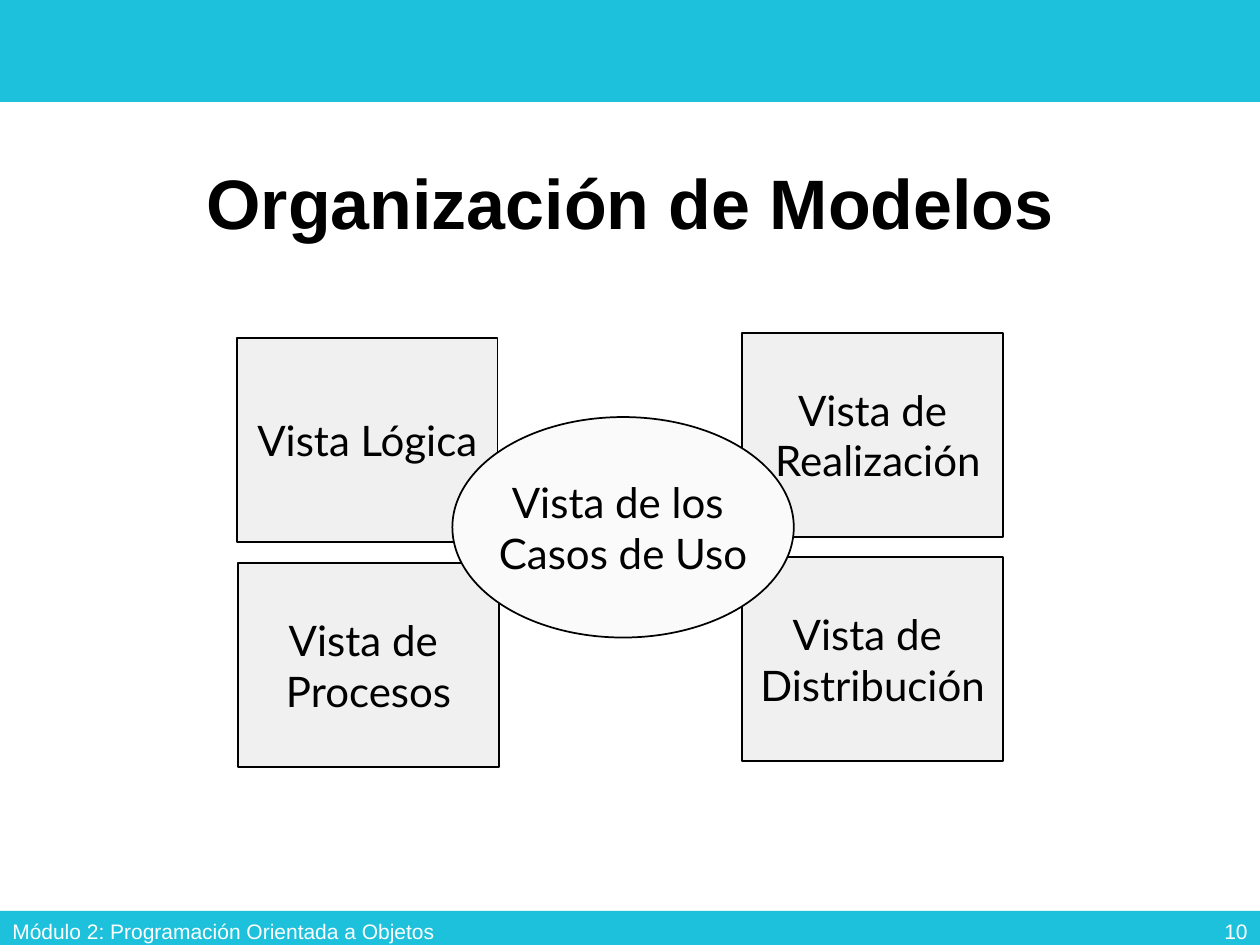
import pptx
import pptx.util
import pptx.dml.color
import pptx.enum.shapes
import pptx.enum.text

Inches = pptx.util.Inches
SHAPE = pptx.enum.shapes.MSO_SHAPE
ALIGN = pptx.enum.text.PP_ALIGN
MIDDLE = pptx.enum.text.MSO_ANCHOR.MIDDLE

WIDTH, HEIGHT = 10, 7.5
CYAN, BLACK, WHITE = "1DC1DC", "000000", "FFFFFF"

TITLE = "Organización de Modelos"
TITLE_FORMAT = {"name": "Arial", "size": 40, "bold": True, "color": BLACK}
FOOTER_FORMAT = {"name": "Arial", "size": 12, "color": WHITE}
VIEW_FORMAT = {"name": "Lato", "size": 24, "color": BLACK}

BARS = [(0, 0.81), (7.23, HEIGHT - 7.23)]  # top, height
FOOTERS = [  # text, left, width, alignment
    ("Módulo 2: Programación Orientada a Objetos", 0, 4.6, ALIGN.LEFT),
    ("10", WIDTH - 2.25, 2.25, ALIGN.RIGHT),
]
VIEW_SIZE = (2.07, 1.62)
VIEWS = [  # lines, left, top
    (["Vista Lógica"], 1.88, 2.68),
    (["Vista de ", "Procesos"], 1.89, 4.47),
    (["Vista de ", "Distribución"], 5.89, 4.42),
    (["Vista de", " Realización"], 5.89, 2.64),
]
USE_CASES = (["Vista de los ", "Casos de Uso"], (3.59, 3.31, 2.71, 1.75))


def rgb(value):
    return pptx.dml.color.RGBColor.from_string(value)


def write(frame, lines, font_format, align, wrap=True):
    frame.word_wrap = wrap
    frame.vertical_anchor = MIDDLE
    for index, line in enumerate(lines):
        para = frame.paragraphs[0] if index == 0 else frame.add_paragraph()
        para.alignment = align
        span = para.add_run()
        span.text = line
        for key, value in font_format.items():
            if key == "color":
                span.font.color.rgb = rgb(value)
            else:
                setattr(span.font, key, pptx.util.Pt(value) if key == "size" else value)


def add_figure(page, kind, place, fill, line=None):
    figure = page.shapes.add_shape(kind, *map(Inches, place))
    figure.shadow.inherit = False
    figure.fill.solid()
    figure.fill.fore_color.rgb = rgb(fill)
    if line:
        figure.line.color.rgb = rgb(line)
        figure.line.width = pptx.util.Pt(1)
    else:
        figure.line.fill.background()
    return figure


def add_view(page, kind, lines, place, fill):
    figure = add_figure(page, kind, place, fill, BLACK)
    write(figure.text_frame, lines, VIEW_FORMAT, ALIGN.CENTER, wrap=False)


def main():
    deck = pptx.Presentation()
    deck.slide_width, deck.slide_height = Inches(WIDTH), Inches(HEIGHT)
    page = deck.slides.add_slide(deck.slide_layouts[5])

    for top, height in BARS:
        add_figure(page, SHAPE.RECTANGLE, (0, top, WIDTH, height), CYAN)

    title = page.shapes.title
    title.left, title.top, title.width, title.height = map(Inches, (0.69, 0.98, 8.62, 1.33))
    write(title.text_frame, [TITLE], TITLE_FORMAT, ALIGN.CENTER)
    title.text_frame.paragraphs[0].line_spacing = 0.9

    for text, left, width, align in FOOTERS:
        box = page.shapes.add_textbox(*map(Inches, (left, 7.19, width, 0.4)))
        write(box.text_frame, [text], FOOTER_FORMAT, align)

    for lines, left, top in VIEWS:
        add_view(page, SHAPE.RECTANGLE, lines, (left, top, *VIEW_SIZE), "F1F0F0")
    add_view(page, SHAPE.OVAL, *USE_CASES, "FAFAFA")

    deck.save("out.pptx")


if __name__ == "__main__":
    main()
